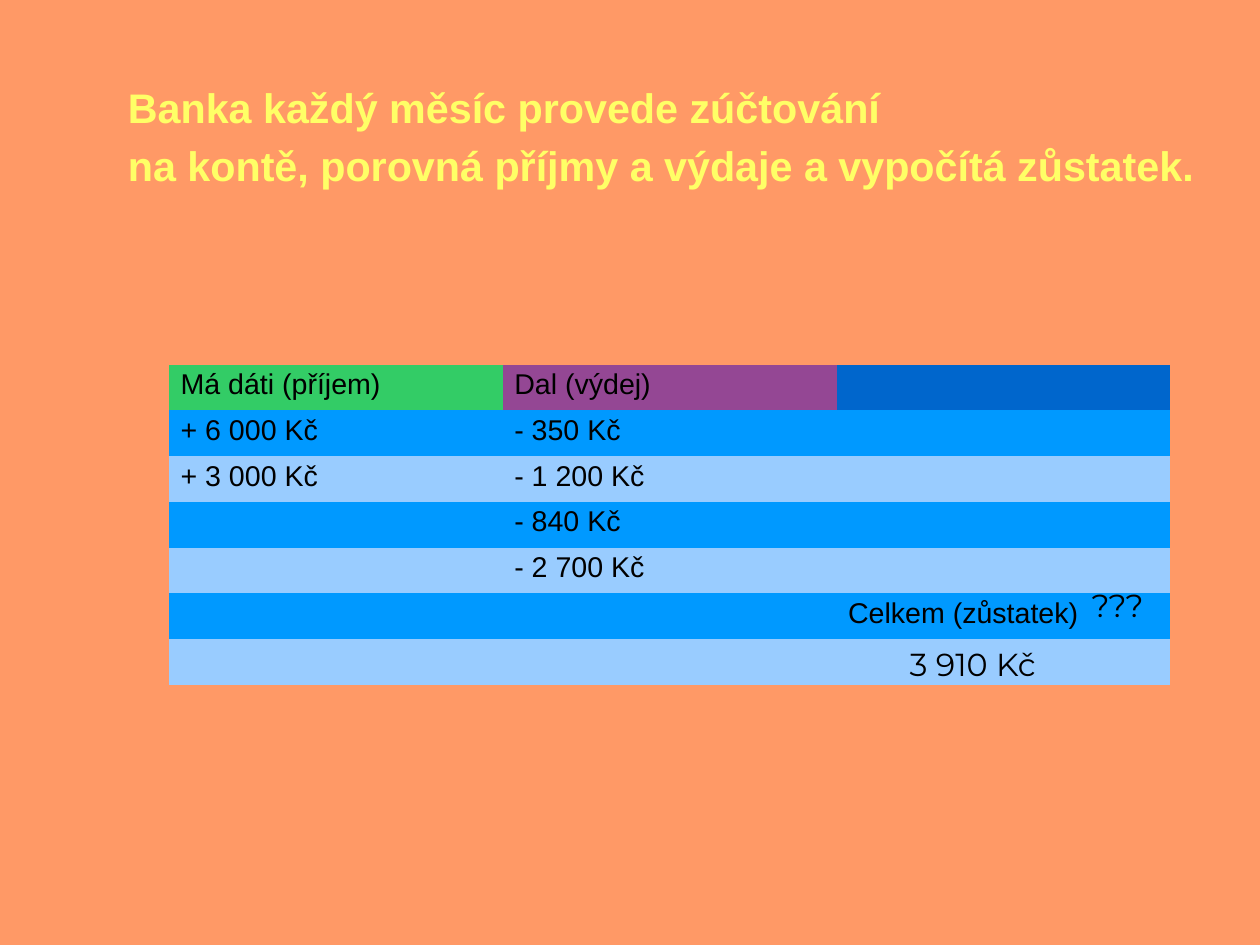
from lxml import etree
from pptx import Presentation
from pptx.dml.color import RGBColor
from pptx.enum.text import MSO_ANCHOR as Anchor
from pptx.oxml.ns import qn
from pptx.util import Cm, Inches, Pt

COLORS = {
    "background": "FF9966", "title": "FFFF66", "text": "000000", "border": "FFFFFF",
    "income": "33CC66", "expense": "944794", "balance": "0066CC",
    "dark_band": "0099FF", "light_band": "99CCFF",
}
TITLE = "Banka každý měsíc provede zúčtování \nna kontě, porovná příjmy a výdaje a vypočítá zůstatek."
LEDGER = [
    ("Má dáti (příjem)", "Dal (výdej)", ""),
    ("+ 6 000 Kč", "- 350 Kč", ""),
    ("+ 3 000 Kč", "- 1 200 Kč", ""),
    ("", "- 840 Kč", ""),
    ("", "- 2 700 Kč", ""),
    ("", "", "Celkem (zůstatek)"),
    ("", "", ""),
]
HEADER_FILLS = ("income", "expense", "balance")
BAND_FILLS = ("dark_band", "light_band")

SLIDE_WIDTH, SLIDE_HEIGHT = Cm(28), Cm(21)
LEFT, TOP = 1.48, 3.19
COLUMN, ROW = 2.92, 0.4
BORDER_WIDTH = Pt(0.03)

# text, left, top, width, height; the answers are placed in table columns and rows
ANSWERS = [
    ("???", LEFT + 2.73 * COLUMN, TOP + 4.56 * ROW, 0.71, 0.69),
    ("3 910 Kč", LEFT + 2.185 * COLUMN, TOP + 5.86 * ROW, 1.63, 0.49),
]


def rgb(name):
    return RGBColor.from_string(COLORS[name])


def style(para, size, font, color, spacing, bold=False):
    para.line_spacing = spacing
    para.font.size, para.font.name, para.font.bold = Pt(size), font, bold
    para.font.color.rgb = rgb(color)


def add_text(page, text, left, top, width, height, size, font, color, bold=False, wrap=False):
    box = page.shapes.add_textbox(*map(Inches, (left, top, width, height)))
    box.text_frame.word_wrap = wrap
    para = box.text_frame.paragraphs[0]
    para.text = text
    style(para, size, font, color, 1.18, bold)


def add_borders(cell):
    properties = cell._tc.get_or_add_tcPr()
    for side in ("lnL", "lnR", "lnT", "lnB"):
        line = etree.SubElement(properties, qn(f"a:{side}"), w=str(int(BORDER_WIDTH)))
        fill = etree.SubElement(line, qn("a:solidFill"))
        etree.SubElement(fill, qn("a:srgbClr"), val=COLORS["border"])


def add_ledger(page):
    rows, columns = len(LEDGER), len(LEDGER[0])
    table = page.shapes.add_table(
        rows, columns, Inches(LEFT), Inches(TOP),
        Inches(columns * COLUMN), Inches(rows * ROW)).table
    for row, texts in enumerate(LEDGER):
        table.rows[row].height = Inches(ROW)
        for column, text in enumerate(texts):
            cell = table.cell(row, column)
            add_borders(cell)
            cell.fill.solid()
            cell.fill.fore_color.rgb = rgb(BAND_FILLS[(row - 1) % 2] if row else HEADER_FILLS[column])
            cell.vertical_anchor = Anchor.MIDDLE
            cell.margin_top = Inches(0.02)
            para = cell.text_frame.paragraphs[0]
            para.text = text
            style(para, 18, "Arial", "text", 0.93)


def main():
    deck = Presentation()
    deck.slide_width, deck.slide_height = SLIDE_WIDTH, SLIDE_HEIGHT
    page = deck.slides.add_slide(deck.slide_layouts[6])
    page.background.fill.solid()
    page.background.fill.fore_color.rgb = rgb("background")
    add_text(page, TITLE, 1.02, 0.59, 9.8, 1.63, 26, "Arial", "title", bold=True, wrap=True)
    add_ledger(page)
    for answer in ANSWERS:
        add_text(page, *answer, 20, "Montserrat", "text")
    deck.save("out.pptx")


if __name__ == "__main__":
    main()
